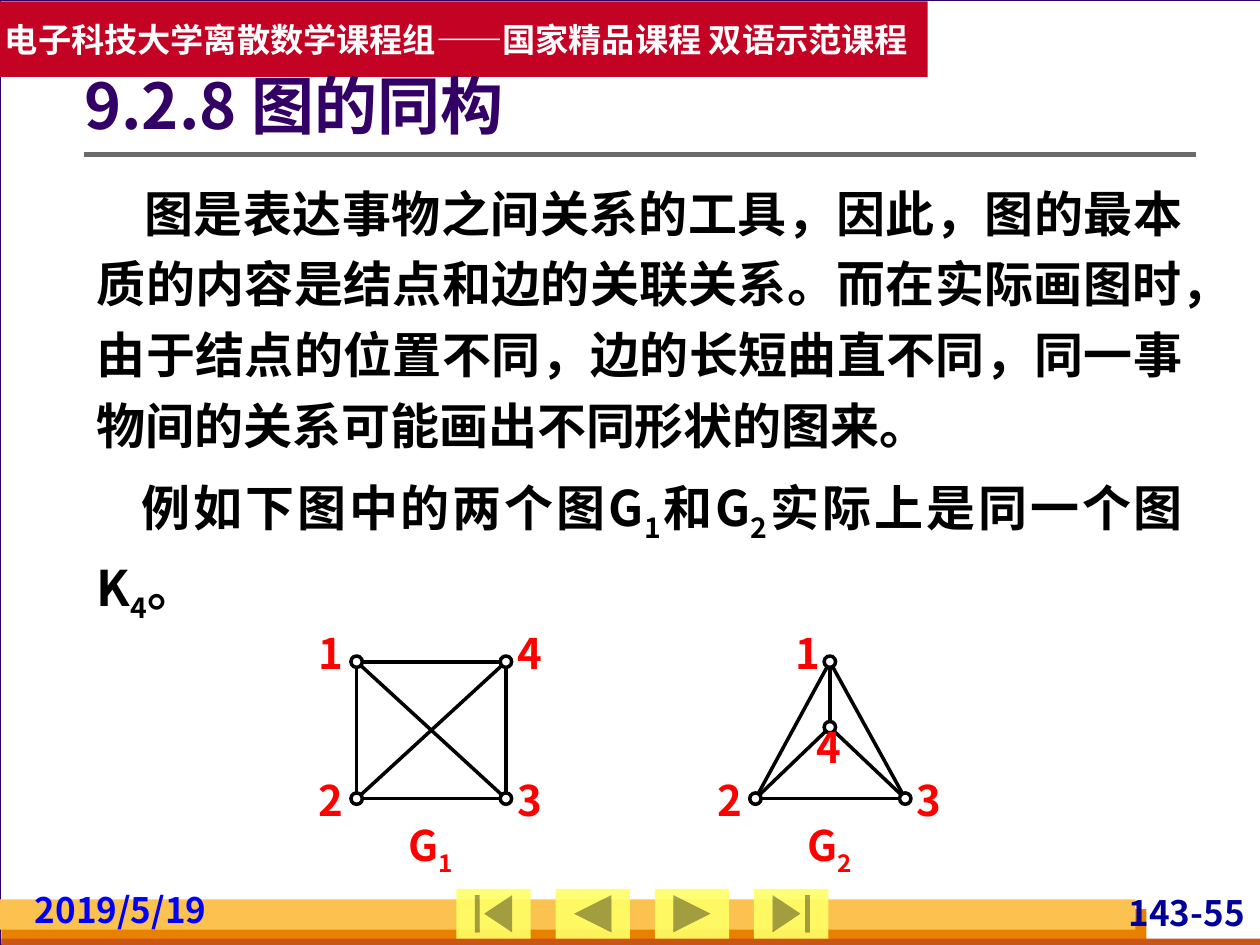
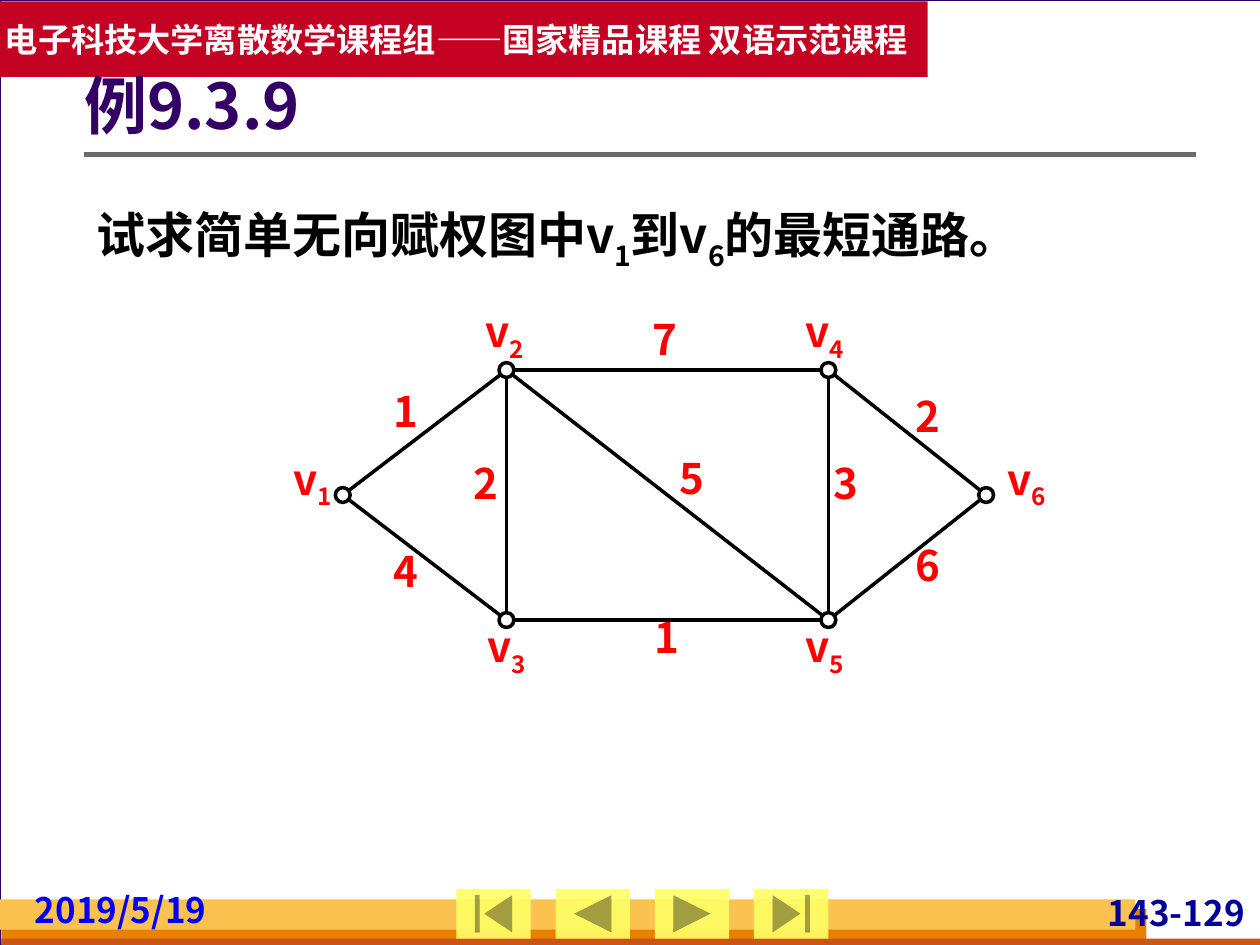
from itertools import combinations

from lxml import etree
from pptx import Presentation
from pptx.dml.color import RGBColor
from pptx.enum.shapes import MSO_CONNECTOR, MSO_SHAPE
from pptx.enum.text import MSO_ANCHOR, MSO_AUTO_SIZE, PP_ALIGN
from pptx.oxml.ns import qn
from pptx.util import Cm, Pt

FONT = "Noto Sans CJK SC"
WHITE = RGBColor(0xFF, 0xFF, 0xFF)
BLACK = RGBColor(0, 0, 0)
GREY = RGBColor(0xD8, 0xDA, 0xDA)
RULE = RGBColor(0x6B, 0x6B, 0x6B)
PURPLE = RGBColor(0x33, 0, 0x66)
CRIMSON = RGBColor(0xC3, 0x02, 0x24)
RED = RGBColor(0xFF, 0, 0)
BLUE = RGBColor(0, 0, 0xFF)
NAVY = RGBColor(0, 0, 0x99)
ORANGE = RGBColor(0xE8, 0x80, 0)
RUST = RGBColor(0xC9, 0x56, 0x16)
GOLD = RGBColor(0xFC, 0xC2, 0x4F)
YELLOW = RGBColor(0xFF, 0xFF, 0x66)

RECT = MSO_SHAPE.RECTANGLE
OVAL = MSO_SHAPE.OVAL
STRAIGHT = MSO_CONNECTOR.STRAIGHT
LEFT, CENTER, RIGHT, JUSTIFY = (
    PP_ALIGN.LEFT, PP_ALIGN.CENTER, PP_ALIGN.RIGHT, PP_ALIGN.JUSTIFY)
TOP, MIDDLE = MSO_ANCHOR.TOP, MSO_ANCHOR.MIDDLE
NO_FIT = MSO_AUTO_SIZE.NONE

BANNER = "电子科技大学离散数学课程组——国家精品课程 双语示范课程"
DATE = "2019/5/19"
BANDS = [
    (0.03, 18.33, 23.08, 0.71, ORANGE),
    (0.03, 18.92, 25.4, 0.2, RUST),
    (0, 18.13, 22.89, 0.61, GOLD),
]
BUTTONS = [
    MSO_SHAPE.ACTION_BUTTON_BEGINNING,
    MSO_SHAPE.ACTION_BUTTON_BACK_OR_PREVIOUS,
    MSO_SHAPE.ACTION_BUTTON_FORWARD_OR_NEXT,
    MSO_SHAPE.ACTION_BUTTON_END,
]

# "_" puts the next character below the line
K4 = list(combinations("1234", 2))
SLIDES = [
    {
        "title": "9.2.8 图的同构",
        "page": "143-55",
        "top": 3.33, "height": 9.04,
        "body": [
            ("图是表达事物之间关系的工具，因此，图的最本质的内容是结点和边的关联关系。"
             "而在实际画图时，由于结点的位置不同，边的长短曲直不同，"
             "同一事物间的关系可能画出不同形状的图来。", 0.96),
            ("例如下图中的两个图G_1和G_2实际上是同一个图K_4。", 0.9),
        ],
        "dot": 0.23, "tag": (0.75, 1.2),
        "graphs": [
            ({"1": (7.19, 13.34, 6.3, 12.65), "2": (7.19, 16.1, 6.3, 15.62),
              "3": (10.2, 16.1, 10.31, 15.62), "4": (10.2, 13.34, 10.31, 12.65)}, K4),
            ({"1": (16.73, 13.34, 15.91, 12.65), "2": (15.23, 16.1, 14.34, 15.62),
              "3": (18.25, 16.1, 18.36, 15.62), "4": (16.73, 14.66, 16.33, 14.55)}, K4),
        ],
        "notes": [("G_1", 7.94, 16.54), ("G_2", 15.98, 16.54)],
        "note": (1.5, 1.2),
    },
    {
        "title": "例9.3.9",
        "page": "143-129",
        "top": 3.73, "height": 1.68,
        "body": [("试求简单无向赋权图中v_1到v_6的最短通路。", 0)],
        "dot": 0.3, "tag": (1.2, 1.02),
        "graphs": [
            ({"v_1": (6.91, 9.98, 5.7, 9.15), "v_2": (10.21, 7.46, 9.58, 6.18),
              "v_3": (10.21, 12.5, 9.61, 12.53), "v_4": (16.7, 7.46, 16.03, 6.18),
              "v_5": (16.7, 12.5, 16.03, 12.53), "v_6": (19.88, 9.98, 20.09, 9.15)},
             [("v_1", "v_2"), ("v_1", "v_3"), ("v_2", "v_3"), ("v_2", "v_4"),
              ("v_2", "v_5"), ("v_3", "v_5"), ("v_4", "v_5"), ("v_4", "v_6"),
              ("v_5", "v_6")]),
        ],
        "notes": [("1", 7.88, 7.78), ("4", 7.88, 11), ("2", 9.5, 9.22),
                  ("7", 13.1, 6.33), ("5", 13.64, 9.12), ("1", 13.15, 12.33),
                  ("3", 16.76, 9.22), ("2", 18.41, 7.88), ("6", 18.41, 10.87)],
        "note": (0.6, 1.02),
    },
]


def place(shape, x, y, w, h):
    shape.left, shape.top, shape.width, shape.height = Cm(x), Cm(y), Cm(w), Cm(h)


def set_frame(frame, pads, anchor=TOP, wrap=True):
    frame.auto_size = NO_FIT
    frame.word_wrap = wrap
    frame.vertical_anchor = anchor
    (frame.margin_left, frame.margin_top,
     frame.margin_right, frame.margin_bottom) = [Cm(pad) for pad in pads]


def write(para, text, size, color, align, space=1.0, before=0):
    first, *rest = text.split("_")
    para.text = first
    for part in rest:
        low = para.add_run()
        low.text = part[0]
        low._r.get_or_add_rPr().set("baseline", "-25000")
        if part[1:]:
            para.add_run().text = part[1:]
    para.alignment = align
    para.line_spacing = space
    para.space_before = Pt(before)
    for run in para.runs:
        font = run.font
        font.size, font.bold, font.name = Pt(size), True, FONT
        font.color.rgb = color
        etree.SubElement(run._r.rPr, qn("a:ea")).set("typeface", FONT)


def add_text(slide, text, box, size, color, align, side=0):
    shape = slide.shapes.add_textbox(*[Cm(v) for v in box])
    set_frame(shape.text_frame, (side, 0, side, 0))
    space = 0.9 if "_" in text else 1.0
    write(shape.text_frame.paragraphs[0], text, size, color, align, space)


def add_box(slide, kind, box, fill, line=None, width=2):
    shape = slide.shapes.add_shape(kind, *[Cm(v) for v in box])
    shape.shadow.inherit = False
    shape.fill.solid()
    shape.fill.fore_color.rgb = fill
    if line is None:
        shape.line.fill.background()
    else:
        shape.line.color.rgb = line
        shape.line.width = Pt(width)
    return shape


def add_line(slide, start, end, color, width):
    line = slide.shapes.add_connector(STRAIGHT, *[Cm(v) for v in (*start, *end)])
    line.line.color.rgb = color
    line.line.width = Pt(width)
    etree.SubElement(line._element.spPr, qn("a:effectLst"))


def add_theme(slide, layout):
    back = layout.background.fill
    back.solid()
    back.fore_color.rgb = GREY
    add_box(slide, RECT, (0, 0, 25.42, 19.05), WHITE, PURPLE, 0.75)
    for *box, color in BANDS:
        add_box(slide, RECT, box, color)
    add_line(slide, (1.7, 3.12), (24.1, 3.12), RULE, 3)
    for i, kind in enumerate(BUTTONS):
        button = add_box(slide, kind, (9.2 + 2 * i, 17.92, 1.5, 1), YELLOW)
        tint = button._element.spPr.find(".//" + qn("a:srgbClr"))
        etree.SubElement(tint, qn("a:alpha")).set("val", "90000")
    banner = add_box(slide, RECT, (0, 0.03, 18.7, 1.52), CRIMSON)
    set_frame(banner.text_frame, (0.1, 0.13, 0.1, 0.13), MIDDLE, False)
    write(banner.text_frame.paragraphs[0], BANNER, 19, WHITE, LEFT)
    parts = [s for s in slide.shapes if not s.is_placeholder]
    for i, part in enumerate(parts, 20):
        part._element.find(".//" + qn("p:cNvPr")).set("id", str(i))
        layout.shapes.element.append(part._element)


def fill_text(slide, data):
    title, body = slide.placeholders
    place(title, 1.7, 0.91, 22.4, 2.57)
    set_frame(title.text_frame, (0, 0.13, 0.25, 0.13), MIDDLE)
    write(title.text_frame.paragraphs[0], data["title"], 36, PURPLE, LEFT, 0.9)

    place(body, 1.7, data["top"], 22.4, data["height"])
    frame = body.text_frame
    set_frame(frame, (0.25, 0.13, 0.25, 0.13))
    frame.text = "\n".join(text for text, _ in data["body"])
    for i, (text, indent) in enumerate(data["body"]):
        para = frame.paragraphs[i]
        props = para._p.get_or_add_pPr()
        props.set("marL", "0")
        props.set("indent", str(Cm(indent)))
        etree.SubElement(props, qn("a:buNone"))
        write(para, text, 28, BLACK, JUSTIFY, 1.2, 5.6 if i else 0)

    add_text(slide, DATE, (0.6, 17.91, 4.19, 0.84), 20, BLUE, LEFT, 0.1)
    add_text(slide, data["page"], (22.1, 17.98, 3.1, 0.84), 20, NAVY, RIGHT, 0.1)


def draw_graph(slide, nodes, edges, dot, tag):
    for a, b in edges:
        add_line(slide, nodes[a][:2], nodes[b][:2], BLACK, 2)
    for name, (x, y, left, top) in nodes.items():
        add_box(slide, OVAL, (x - dot / 2, y - dot / 2, dot, dot), WHITE, BLACK)
        add_text(slide, name, (left, top, *tag), 24, RED, CENTER)


def main():
    deck = Presentation()
    deck.slide_width, deck.slide_height = Cm(25.4), Cm(19.05)
    layout = deck.slide_layouts[1]
    for i, data in enumerate(SLIDES):
        slide = deck.slides.add_slide(layout)
        if i == 0:
            add_theme(slide, layout)
        fill_text(slide, data)
        for nodes, edges in data["graphs"]:
            draw_graph(slide, nodes, edges, data["dot"], data["tag"])
        for text, x, y in data["notes"]:
            add_text(slide, text, (x, y, *data["note"]), 24, RED, CENTER)
    deck.save("out.pptx")


if __name__ == "__main__":
    main()
